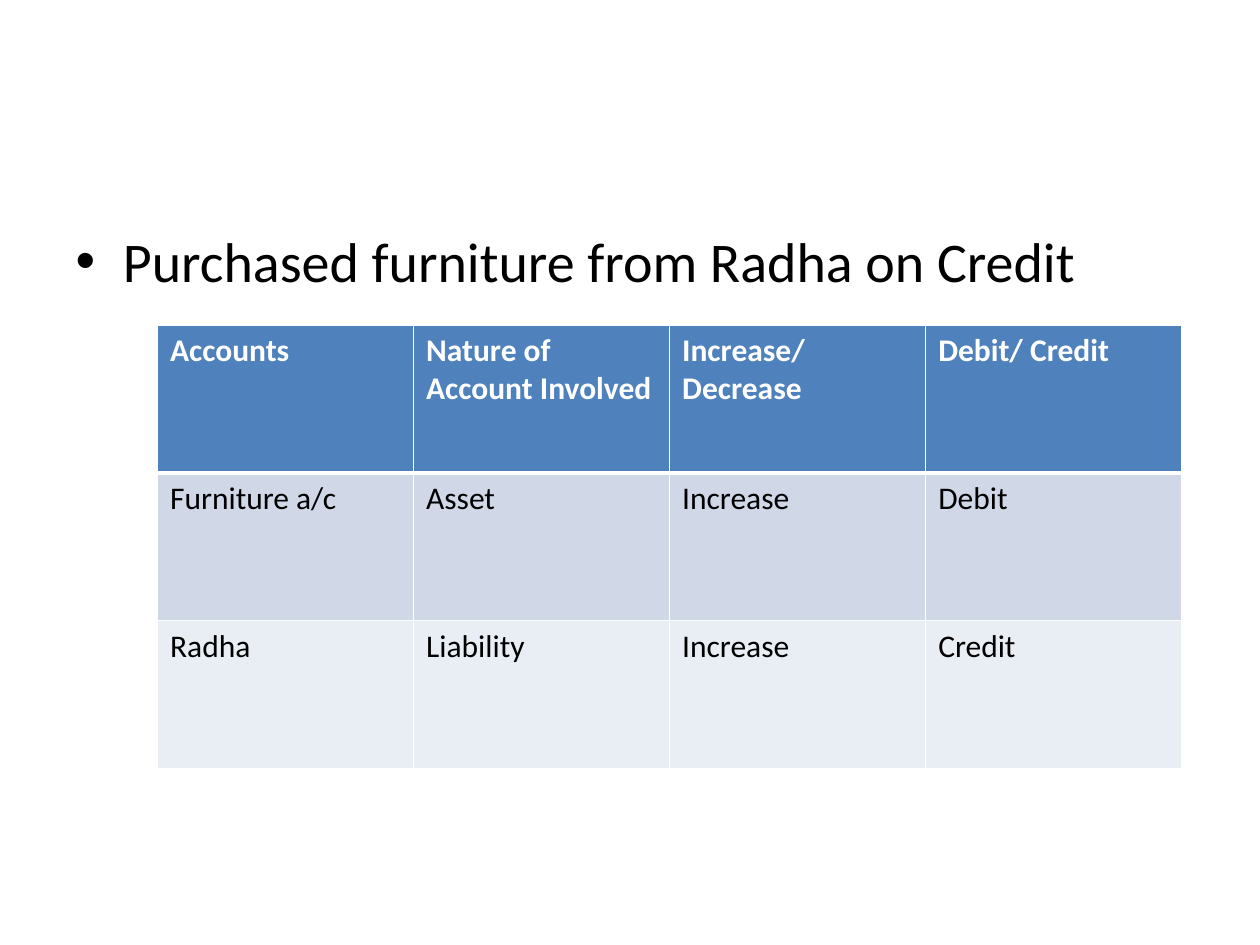
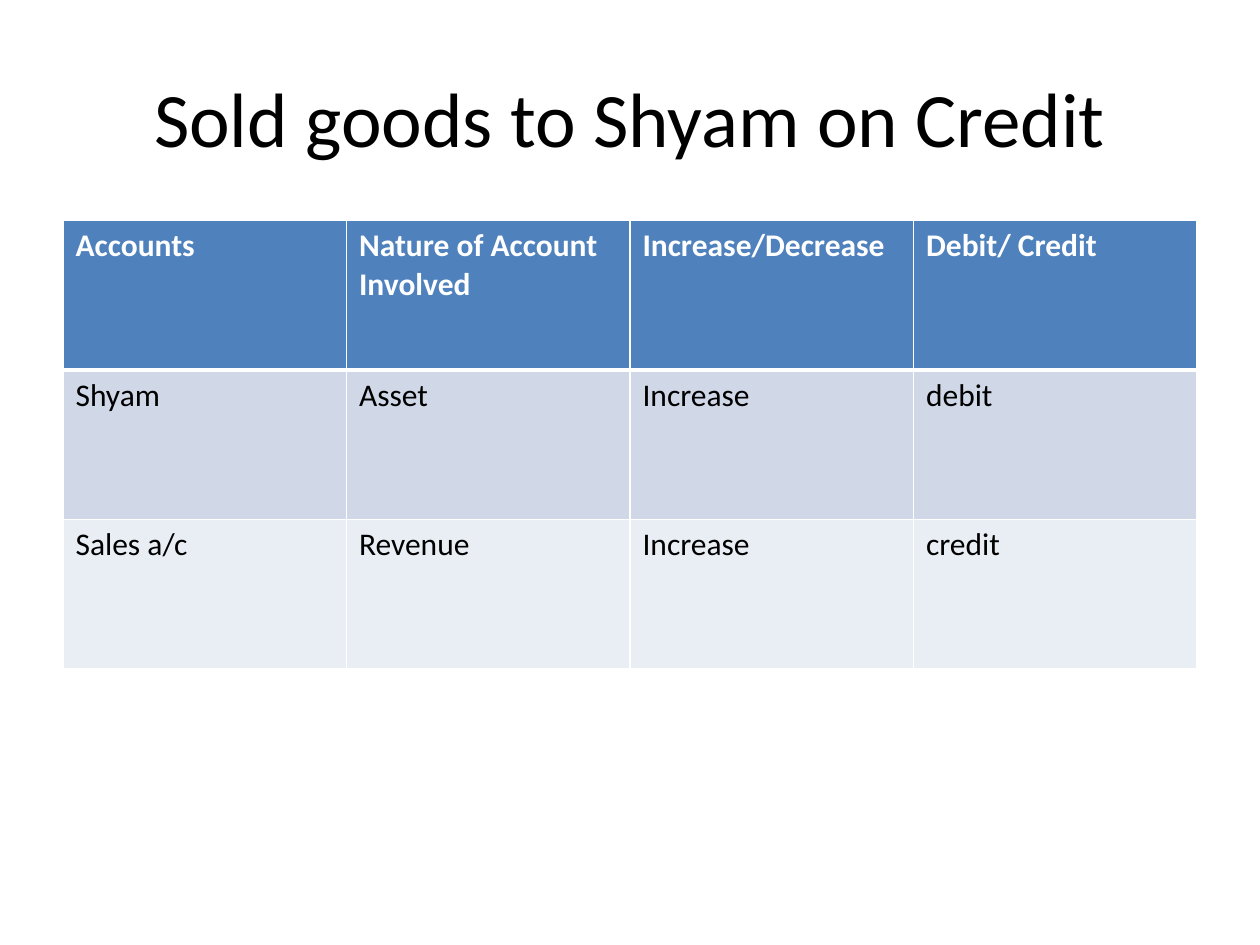
from lxml import etree
from pptx import Presentation
from pptx.dml.color import RGBColor
from pptx.enum.text import MSO_ANCHOR, PP_ALIGN
from pptx.oxml.ns import qn
from pptx.util import Inches, Pt

FONT = "Calibri"
BLACK = RGBColor(0x00, 0x00, 0x00)
WHITE = RGBColor(0xFF, 0xFF, 0xFF)
HEADER_BLUE = RGBColor(0x4F, 0x81, 0xBD)
BAND_DARK = RGBColor(0xD0, 0xD8, 0xE8)
BAND_LIGHT = RGBColor(0xE9, 0xED, 0xF4)

LEFT, CENTER = PP_ALIGN.LEFT, PP_ALIGN.CENTER
TOP, MIDDLE = MSO_ANCHOR.TOP, MSO_ANCHOR.MIDDLE

CONTENT_LAYOUT, TITLE_LAYOUT = 1, 5
TITLE_BOX = (0.5, 0.3, 9, 1.25)
BODY_BOX = (0.5, 1.75, 9, 4.95)

HEADINGS = ("Accounts", "Nature of Account Involved", "Increase/Decrease", "Debit/ Credit")
THIN, THICK = 1, 3


def write_text(frame, text, size=18, color=BLACK, bold=False, align=LEFT):
    para = frame.paragraphs[0]
    para.alignment = align
    para.space_before = Pt(0)
    span = para.add_run()
    span.text = text
    span.font.name = FONT
    span.font.size = Pt(size)
    span.font.bold = bold
    span.font.color.rgb = color


def fill_placeholder(holder, box, text, anchor=TOP, **style):
    holder.left, holder.top, holder.width, holder.height = map(Inches, box)
    holder.text_frame.vertical_anchor = anchor
    write_text(holder.text_frame, text, **style)


def set_borders(cell, **widths):
    """Draw white cell borders; widths in points are keyed by side: L, R, T, B."""
    properties = cell._tc.get_or_add_tcPr()
    for side in "LRTB":
        line = etree.SubElement(properties, qn(f"a:ln{side}"), w=str(Pt(widths.get(side, THIN))))
        fill = etree.SubElement(line, qn("a:solidFill"))
        etree.SubElement(fill, qn("a:srgbClr"), val=str(WHITE))


def add_accounts_table(page, box, entries):
    rows = [HEADINGS, *entries]
    left, top, width, height = map(Inches, box)
    table = page.shapes.add_table(len(rows), len(HEADINGS), left, top, width, height).table
    for row_index, row in enumerate(rows):
        is_header = row_index == 0
        if is_header:
            fill, widths = HEADER_BLUE, {"B": THICK}
        else:
            fill = BAND_DARK if row_index % 2 else BAND_LIGHT
            widths = {"T": THICK} if row_index == 1 else {}
        for column_index, text in enumerate(row):
            cell = table.cell(row_index, column_index)
            set_borders(cell, **widths)
            cell.fill.solid()
            cell.fill.fore_color.rgb = fill
            write_text(cell.text_frame, text, bold=is_header,
                       color=WHITE if is_header else BLACK)


def add_bullet_page(deck, statement, table_box, entries):
    page = deck.slides.add_slide(deck.slide_layouts[CONTENT_LAYOUT])
    title = page.shapes.title
    title.element.getparent().remove(title.element)
    fill_placeholder(page.placeholders[1], BODY_BOX, statement, size=32)
    add_accounts_table(page, table_box, entries)


def add_title_page(deck, statement, table_box, entries):
    page = deck.slides.add_slide(deck.slide_layouts[TITLE_LAYOUT])
    fill_placeholder(page.shapes.title, TITLE_BOX, statement,
                     anchor=MIDDLE, size=44, align=CENTER)
    add_accounts_table(page, table_box, entries)


def main():
    deck = Presentation()
    deck.slide_width, deck.slide_height = Inches(10), Inches(7.5)
    add_bullet_page(deck, "Purchased furniture from Radha on Credit", (1.25, 2.58, 8.13, 3.52), [
        ("Furniture a/c", "Asset", "Increase", "Debit"),
        ("Radha", "Liability", "Increase", "Credit"),
    ])
    add_title_page(deck, "Sold goods to Shyam on Credit", (0.5, 1.75, 9, 3.56), [
        ("Shyam", "Asset", "Increase", "debit"),
        ("Sales a/c", "Revenue", "Increase", "credit"),
    ])
    deck.save("out.pptx")


if __name__ == "__main__":
    main()
